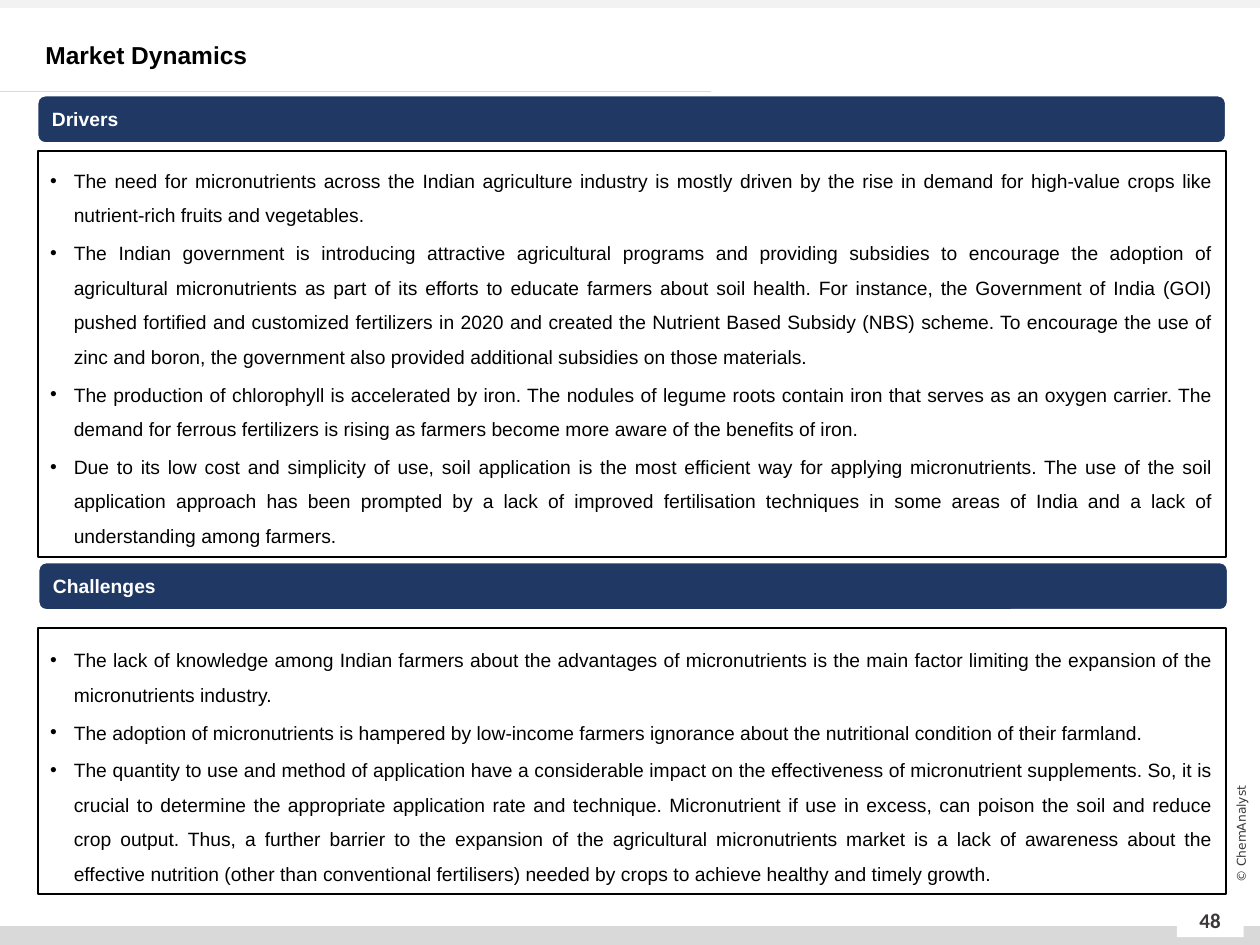
from lxml import etree
from pptx import Presentation
from pptx.dml.color import RGBColor
from pptx.enum.shapes import MSO_CONNECTOR, MSO_SHAPE
from pptx.enum.text import MSO_ANCHOR, MSO_AUTO_SIZE, PP_ALIGN
from pptx.oxml.ns import qn
from pptx.util import Pt

RECT, ROUNDED = MSO_SHAPE.RECTANGLE, MSO_SHAPE.ROUNDED_RECTANGLE
STRAIGHT = MSO_CONNECTOR.STRAIGHT
TOP, MIDDLE = MSO_ANCHOR.TOP, MSO_ANCHOR.MIDDLE
LEFT, CENTER, JUSTIFY = PP_ALIGN.LEFT, PP_ALIGN.CENTER, PP_ALIGN.JUSTIFY

WIDTH, HEIGHT = 720, 540
NAVY, WHITE, BLACK = "203864", "FFFFFF", "000000"
GREY, PALE, CHARCOAL = "D9D9D9", "F2F2F2", "3B3838"

DRIVERS = [
    "The need for micronutrients across the Indian agriculture industry is mostly driven by the rise in demand "
    "for high-value crops like nutrient-rich fruits and vegetables.",
    "The Indian government is introducing attractive agricultural programs and providing subsidies to encourage "
    "the adoption of agricultural micronutrients as part of its efforts to educate farmers about soil health. "
    "For instance, the Government of India (GOI) pushed fortified and customized fertilizers in 2020 and created "
    "the Nutrient Based Subsidy (NBS) scheme. To encourage the use of zinc and boron, the government also "
    "provided additional subsidies on those materials.",
    "The production of chlorophyll is accelerated by iron. The nodules of legume roots contain iron that serves "
    "as an oxygen carrier. The demand for ferrous fertilizers is rising as farmers become more aware of the "
    "benefits of iron.",
    "Due to its low cost and simplicity of use, soil application is the most efficient way for applying "
    "micronutrients. The use of the soil application approach has been prompted by a lack of improved "
    "fertilisation techniques in some areas of India and a lack of understanding among farmers.",
]
CHALLENGES = [
    "The lack of knowledge among Indian farmers about the advantages of micronutrients is the main factor "
    "limiting the expansion of the micronutrients industry.",
    "The adoption of micronutrients is hampered by low-income farmers ignorance about the nutritional condition "
    "of their farmland.",
    "The quantity to use and method of application have a considerable impact on the effectiveness of "
    "micronutrient supplements. So, it is crucial to determine the appropriate application rate and technique. "
    "Micronutrient if use in excess, can poison the soil and reduce crop output. Thus, a further barrier to the "
    "expansion of the agricultural micronutrients market is a lack of awareness about the effective nutrition "
    "(other than conventional fertilisers) needed by crops to achieve healthy and timely growth.",
]


def color(hex_string):
    return RGBColor.from_string(hex_string)


def set_font(paragraph, size, hex_color, name="Arial", bold=False):
    font = paragraph.font
    font.size, font.name, font.bold = Pt(size), name, bold
    font.color.rgb = color(hex_color)


def add_panel(slide, preset, box, fill, line=None, line_width=1):
    panel = slide.shapes.add_shape(preset, *map(Pt, box))
    panel.shadow.inherit = False
    panel.fill.solid()
    panel.fill.fore_color.rgb = color(fill)
    if line:
        panel.line.color.rgb = color(line)
        panel.line.width = Pt(line_width)
    else:
        panel.line.fill.background()
    return panel


def add_label(slide, box, text, size, name, bold=False, rotation=0):
    label = slide.shapes.add_textbox(*map(Pt, box))
    label.rotation = rotation
    frame = label.text_frame
    frame.word_wrap = True
    frame.vertical_anchor = MIDDLE
    frame.margin_left = frame.margin_right = frame.margin_top = frame.margin_bottom = 0
    frame.text = text
    frame.paragraphs[0].alignment = CENTER
    set_font(frame.paragraphs[0], size, CHARCOAL, name, bold)


def add_page_frame(slide, width, height):
    # Bands along the bottom and top edges
    add_panel(slide, RECT, (0, height - 10.8, width, 10.8), GREY)
    add_panel(slide, RECT, (0, 0, width, 4.5), PALE)
    # Page number on its white tab
    add_panel(slide, RECT, (672.5, 519.8, 38.2, 15.8), WHITE)
    add_label(slide, (674, 511.5, 35, 28.8), "48", 12, "Calibri", bold=True)
    # Copyright line up the right edge
    add_label(slide, (666, 470.9, 86.4, 11.5), "© ChemAnalyst", 7, "DejaVu Sans", rotation=270)
    # Rule under the title
    rule = slide.shapes.add_connector(STRAIGHT, 0, Pt(52.2), Pt(406.5), Pt(52.2))
    rule.line.color.rgb = color(GREY)
    rule.line.width = Pt(0.5)
    etree.SubElement(rule._element.spPr, qn("a:effectLst"))


def place_title(slide, box, text):
    title = slide.shapes.title
    title.left, title.top, title.width, title.height = map(Pt, box)
    frame = title.text_frame
    frame.auto_size = MSO_AUTO_SIZE.NONE
    frame.word_wrap = True
    frame.vertical_anchor = MIDDLE
    frame.text = text
    heading = frame.paragraphs[0]
    heading.alignment = LEFT
    heading.line_spacing = 0.9
    set_font(heading, 14, BLACK, bold=True)


def add_heading_bar(slide, box, text):
    frame = add_panel(slide, ROUNDED, box, NAVY, WHITE, 1.5).text_frame
    frame.vertical_anchor = MIDDLE
    frame.text = text
    frame.paragraphs[0].alignment = LEFT
    set_font(frame.paragraphs[0], 11, WHITE, bold=True)


def add_bullet(paragraph, indent):
    properties = paragraph._p.get_or_add_pPr()
    properties.set("marL", str(Pt(indent)))
    properties.set("indent", str(-Pt(indent)))
    etree.SubElement(properties, qn("a:buFont")).set("typeface", "Arial")
    etree.SubElement(properties, qn("a:buChar")).set("char", "•")


def add_bullet_panel(slide, box, points, anchor):
    frame = add_panel(slide, RECT, box, WHITE, BLACK).text_frame
    frame.word_wrap = True
    frame.vertical_anchor = anchor
    for index, point in enumerate(points):
        paragraph = frame.add_paragraph() if index else frame.paragraphs[0]
        paragraph.text = point
        paragraph.alignment = JUSTIFY
        paragraph.line_spacing = 1.5
        paragraph.space_after = Pt(1.65)
        add_bullet(paragraph, 13.5)
        set_font(paragraph, 11, BLACK)


def main():
    deck = Presentation()
    deck.slide_width, deck.slide_height = Pt(WIDTH), Pt(HEIGHT)
    slide = deck.slides.add_slide(deck.slide_layouts[5])

    add_page_frame(slide, WIDTH, HEIGHT)
    place_title(slide, (18.7, 20.9, 583.2, 23), "Market Dynamics")

    # Drivers
    add_bullet_panel(slide, (21.6, 86.4, 679, 231.8), DRIVERS, TOP)
    add_heading_bar(slide, (21.2, 54.4, 679.5, 27.6), "Drivers")

    # Challenges
    add_bullet_panel(slide, (21.6, 359, 679, 152), CHALLENGES, MIDDLE)
    add_heading_bar(slide, (21.8, 321.2, 680, 27.6), "Challenges")

    deck.save("out.pptx")


if __name__ == "__main__":
    main()
